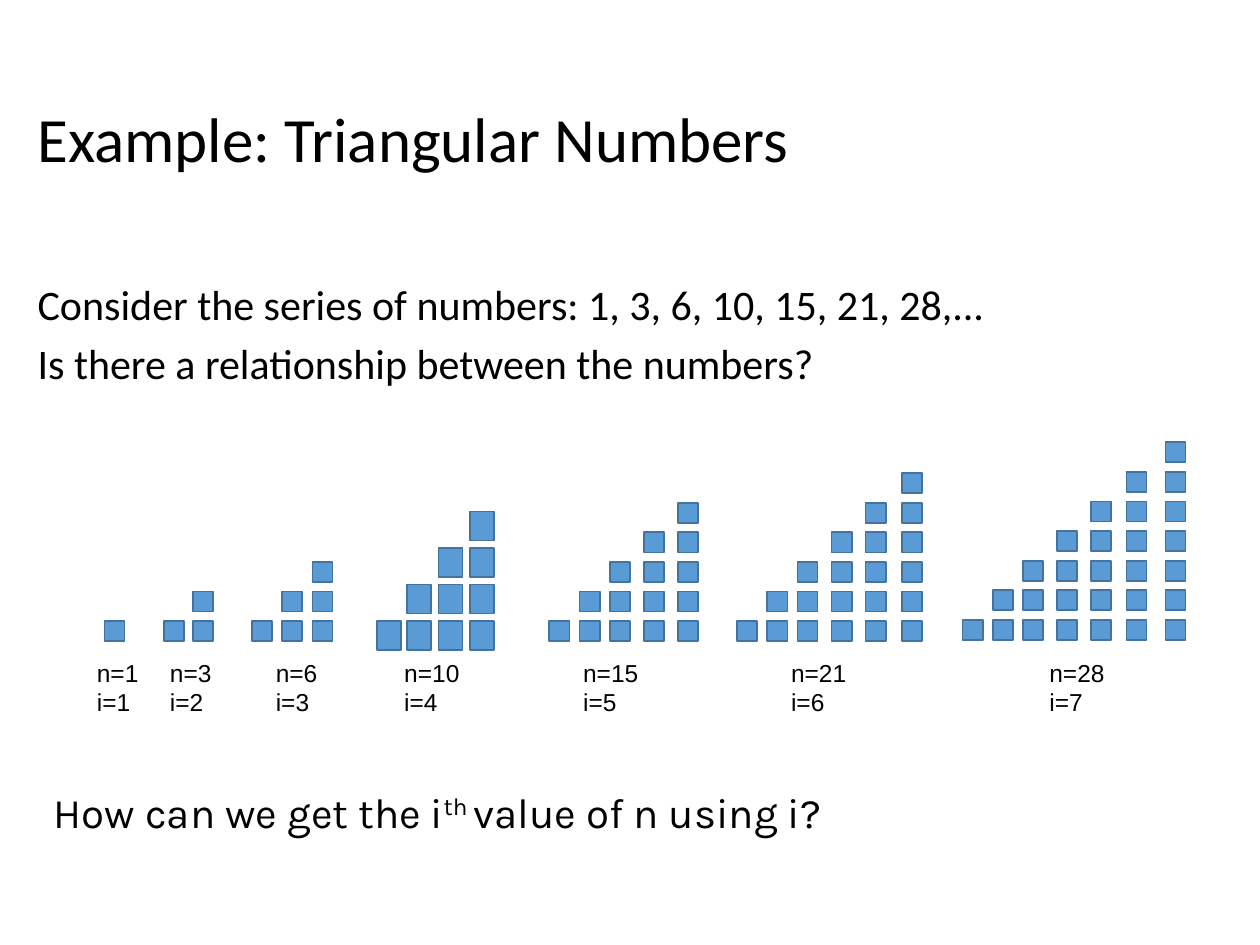
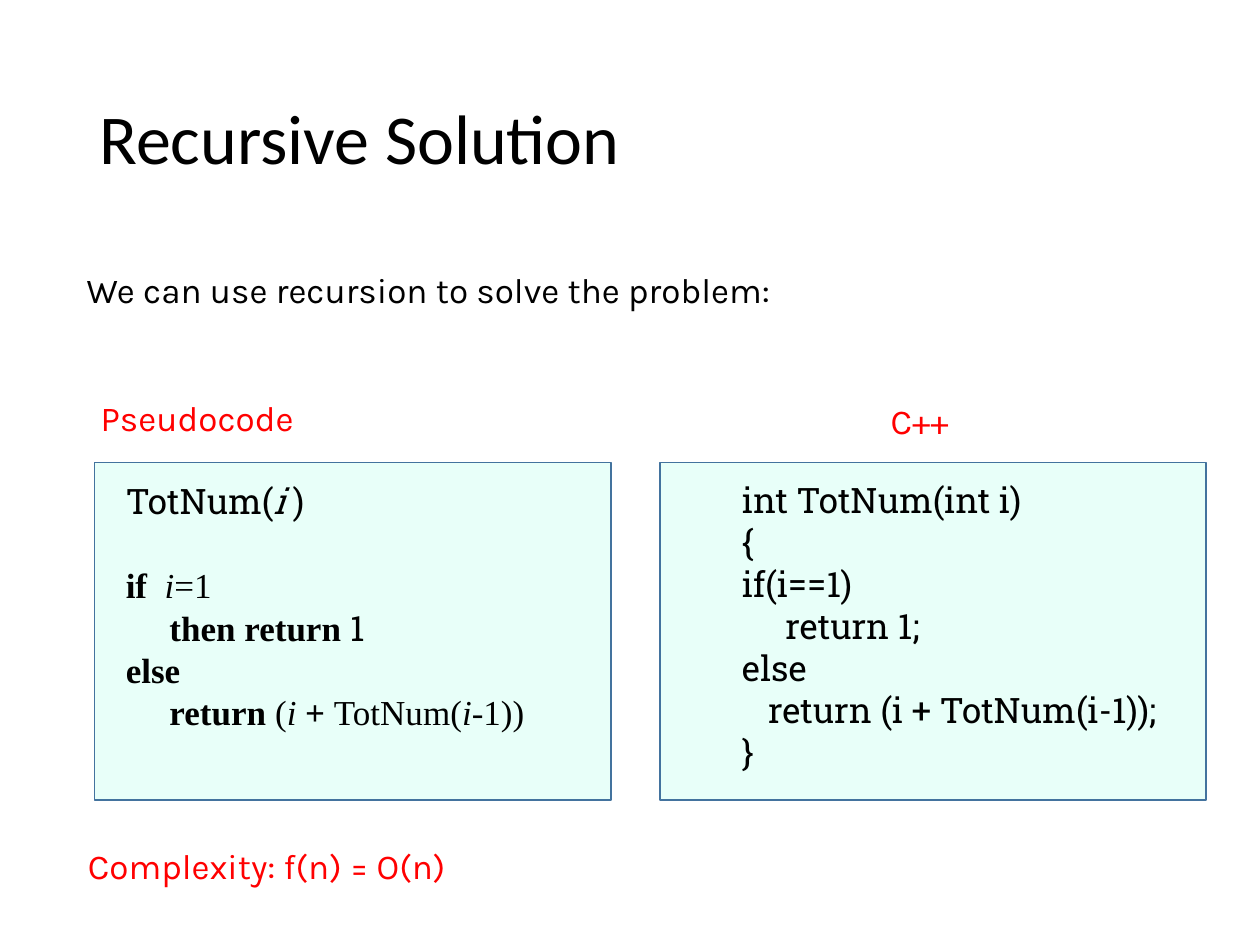
"""Build two slides on triangular numbers and their recursive solution."""
from pptx import Presentation
from pptx import util as u
from pptx.dml.color import RGBColor
from pptx.enum import shapes, text
from pptx.oxml.ns import qn
from lxml import etree

SCALE = 9144
BLACK, RED = "000000", "FF0000"
BLUE, EDGE, MINT = "5B9BD5", "43739E", "75FFDB"
SANS, BODY, SLAB, SERIF, PLAIN = "Calibri", "Karla", "Roboto Slab", "Times New Roman", "Arial"

SERIES = [
    "Consider the series of numbers: 1, 3, 6, 10, 15, 21, 28,...",
    "Is there a relationship between the numbers?",
]
ASK = [[("How can we get the i", ""), ("th ", "s"), ("value of n using i?", "")]]

SMALL = {"wide": 16, "high": 16, "step": 23.5}
LARGE = {"wide": 19, "high": 23, "step": 29}
STAIRS = [
    {"cols": [83], "label": 67, "base": 493, **SMALL},
    {"cols": [130, 153], "label": 125, "base": 493, **SMALL},
    {"cols": [200, 224, 248], "label": 209, "base": 493, **SMALL},
    {"cols": [299, 323, 348, 373], "label": 311, "base": 493, **LARGE},
    {"cols": [436, 460, 484, 511, 538], "label": 453, "base": 493, **SMALL},
    {"cols": [585, 609, 633, 660, 687, 716], "label": 618, "base": 493, **SMALL},
    {"cols": [764, 788, 812, 839, 866, 894, 925], "label": 823, "base": 492, **SMALL},
]

PANELS = [(524, 367, 433, 268), (75, 367, 410, 268)]
PSEUDO = [
    [("TotNum(", "", SLAB), ("i ", "i", SLAB), (")", "", SLAB)],
    [("if  ", "b"), ("i", "i"), ("=1", "")],
    [("     then return ", "b"), ("1", "", SLAB)],
    [("else", "b")],
    [("     return ", "b"), ("(", ""), ("i", "i"), (" + ", "b"),
     ("TotNum(", ""), ("i", "i"), ("-1))", "")],
]
CODE = [
    "int TotNum(int i)",
    "{",
    "if(i==1)",
    "     return 1;",
    "else",
    "   return (i + TotNum(i-1));",
    "}",
]
NOTES = [
    ("We can use recursion to solve the problem:", (59, 208, 567, 44), BLACK),
    ("Pseudocode", (70, 310, 252, 44), RED),
    ("C++", (697, 312, 79, 44), RED),
    ("Complexity: f(n) = O(n)", (60, 665, 817, 44), RED),
]


def px(*vals):
    return [u.Emu(round(v * SCALE)) for v in vals]


def tint(hue):
    return RGBColor.from_string(hue)


def write(slide, box, paras, size, font, hue=BLACK, line=None, gaps=None, mid=False):
    frame = slide.shapes.add_textbox(*px(*box)).text_frame
    frame.word_wrap = True
    if mid:
        frame.vertical_anchor = text.MSO_ANCHOR.MIDDLE
    for k, runs in enumerate(paras):
        para = frame.add_paragraph() if k else frame.paragraphs[0]
        if line:
            para.line_spacing = line
        if gaps and k in gaps:
            para.space_before = u.Pt(gaps[k])
        for words, marks, *face in [(runs, "")] if isinstance(runs, str) else runs:
            run = para.add_run()
            run.text = words
            run.font.name = face[0] if face else font
            run.font.size = u.Pt(size)
            run.font.color.rgb = tint(hue)
            run.font.bold = "b" in marks
            run.font.italic = "i" in marks
            if "s" in marks:
                run._r.get_or_add_rPr().set("baseline", "30000")


def rect(slide, box, hue, alpha=None):
    shape = slide.shapes.add_shape(shapes.MSO_SHAPE.RECTANGLE, *px(*box))
    shape.shadow.inherit = False
    shape.fill.solid()
    shape.fill.fore_color.rgb = tint(hue)
    shape.line.color.rgb = tint(EDGE)
    shape.line.width = u.Pt(1)
    if alpha:
        clr = shape._element.spPr.find(qn("a:solidFill"))[0]
        etree.SubElement(clr, qn("a:alpha")).set("val", str(alpha * 1000))


def title(slide, words, left, wide, size):
    write(slide, (left, 40, wide, 145), [words], size, SANS, line=0.9, mid=True)


def stair(slide, i, spec):
    for col, x in enumerate(spec["cols"]):
        for row in range(col + 1):
            y = spec["base"] - row * spec["step"]
            rect(slide, (x, y, spec["wide"], spec["high"]), BLUE)
    wide = 55 if i < 4 else 67
    label = [f"n={i * (i + 1) // 2}", f"i={i}"]
    write(slide, (spec["label"], 517, wide, 57), label, 14, PLAIN)


def numbers(slide):
    title(slide, "Example: Triangular Numbers", 20, 960, 36)
    write(slide, (20, 221, 960, 103), SERIES, 24, SANS, line=0.9, gaps={1: 7.5})
    for i, spec in enumerate(STAIRS, 1):
        stair(slide, i, spec)
    write(slide, (33, 619, 701, 84), ASK, 24, BODY)


def solution(slide):
    for box in PANELS:
        rect(slide, box, MINT, 16)
    title(slide, "Recursive Solution", 69, 862, 40)
    pitch = u.Pt(24)
    write(slide, (90, 376, 433, 212), PSEUDO, 20, SERIF, line=pitch, gaps={1: 24})
    write(slide, (579, 375, 402, 246), CODE, 20, SLAB, line=pitch)
    for words, box, hue in NOTES:
        write(slide, box, [words], 20, BODY, hue)


def main():
    deck = Presentation()
    deck.slide_width, deck.slide_height = px(1000, 750)
    for build in (numbers, solution):
        build(deck.slides.add_slide(deck.slide_layouts[6]))
    deck.save("out.pptx")


if __name__ == "__main__":
    main()
